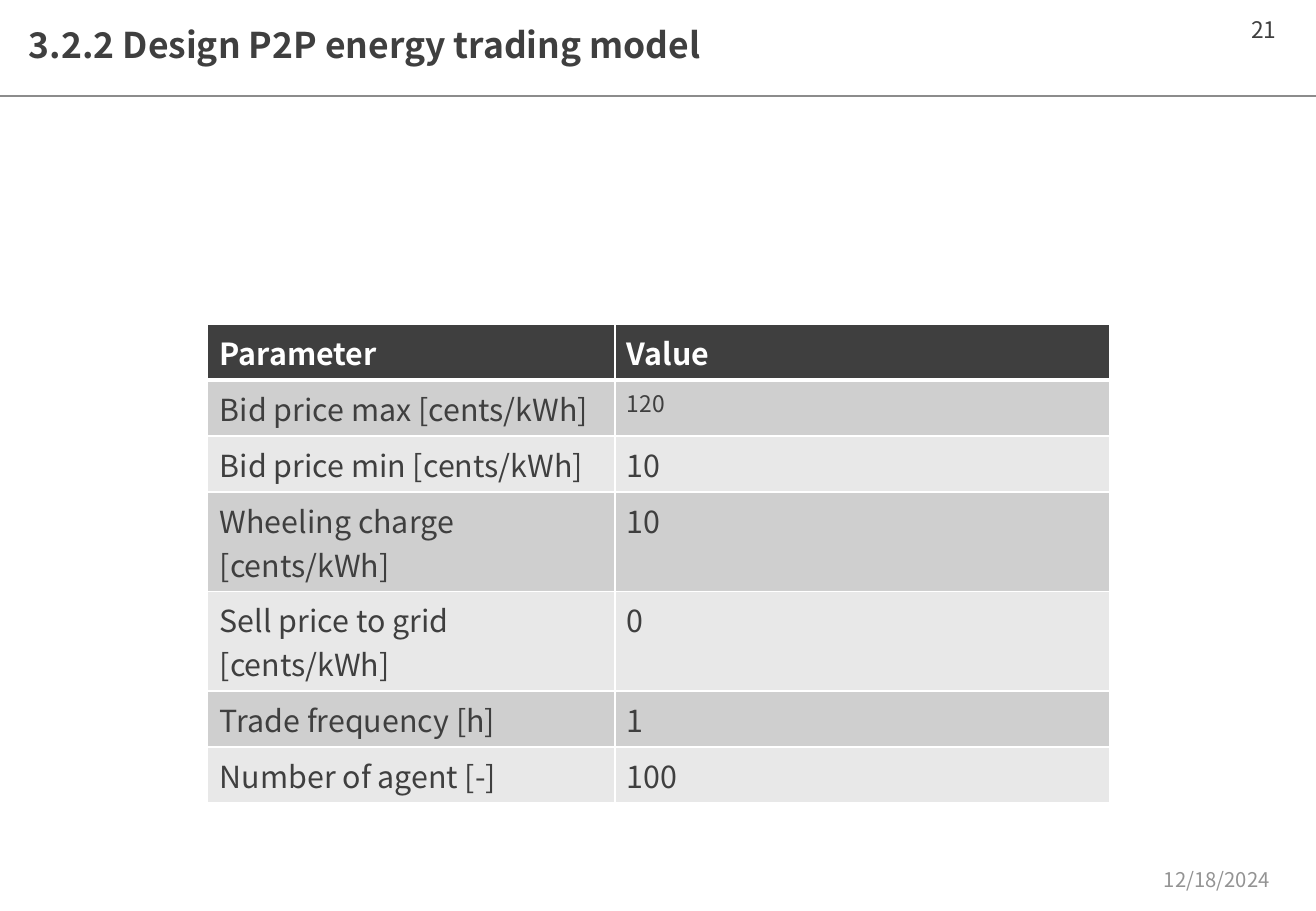
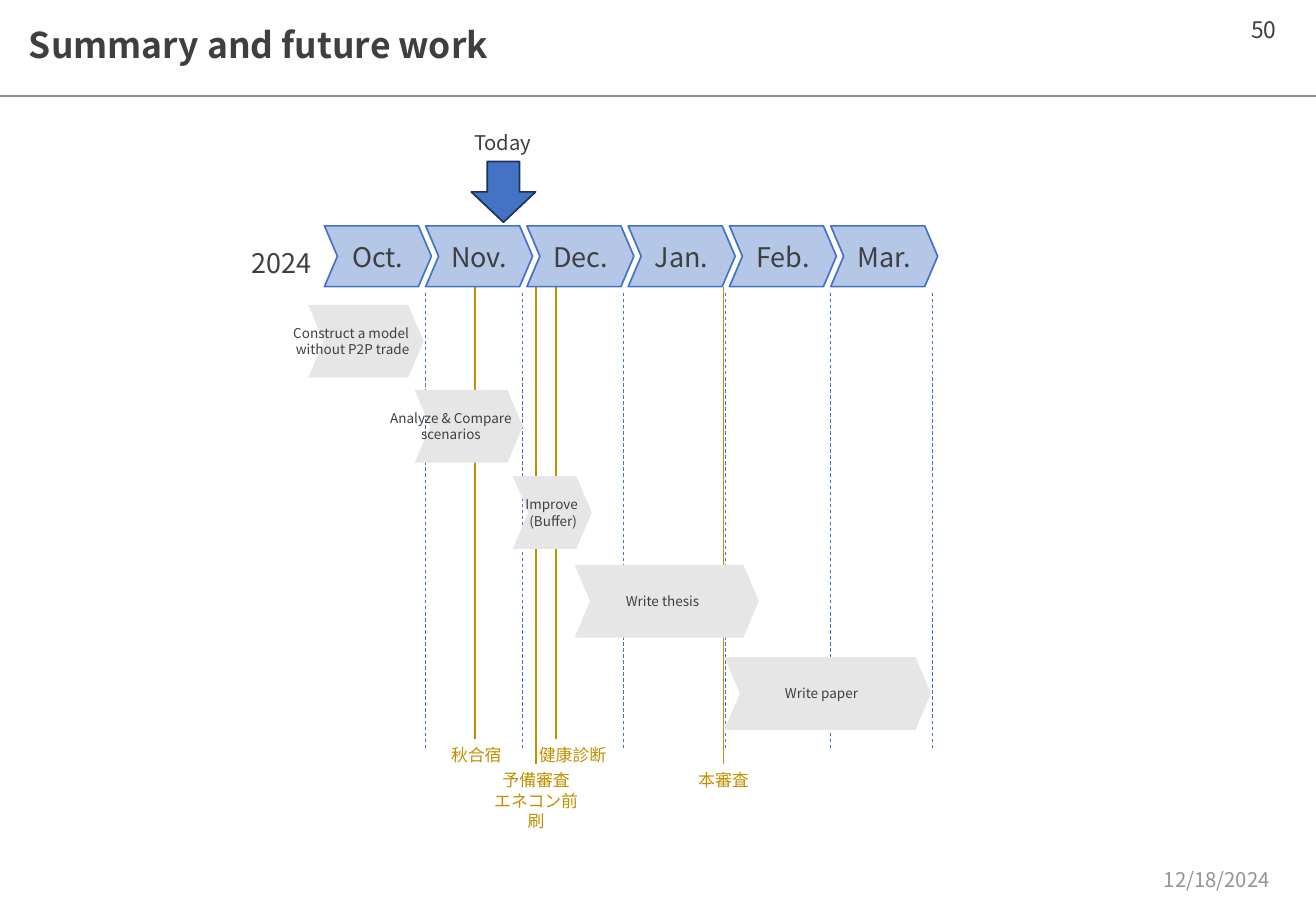
from dataclasses import dataclass

import lxml.etree
import pptx
import pptx.dml.color
import pptx.enum.dml
import pptx.enum.shapes
import pptx.enum.text
import pptx.oxml.ns
import pptx.util

Inches = pptx.util.Inches
Shape = pptx.enum.shapes.MSO_SHAPE
Align = pptx.enum.text.PP_ALIGN
Anchor = pptx.enum.text.MSO_ANCHOR
qn = pptx.oxml.ns.qn


@dataclass(frozen=True)
class Theme:
    font: str = "Noto Sans CJK JP"
    ink: str = "3F3F3F"
    white: str = "FFFFFF"
    muted: str = "939393"
    rule: str = "8C8C8C"
    bands: tuple = ("CFCFCF", "E8E8E8")
    blue: str = "4472C4"
    pale_blue: str = "B4C7E7"
    navy: str = "1E3256"
    gold: str = "BF9000"
    task: str = "E7E6E6"
    title_size: float = 21
    table_size: float = 18
    month_size: float = 16
    number_size: float = 13.5
    note_size: float = 12
    milestone_size: float = 10
    task_size: float = 8
    chevron_notch: float = 0.213


THEME = Theme()
WIDTH, HEIGHT = 10.83, 7.5
DATE = "12/18/2024"

# Name, value and lines of text in the row
PARAMETERS = [
    ("Parameter", "Value", 1),
    ("Bid price max [cents/kWh]", "120", 1),
    ("Bid price min [cents/kWh]", "10", 1),
    ("Wheeling charge [cents/kWh]", "10", 2),
    ("Sell price to grid [cents/kWh]", "0", 2),
    ("Trade frequency [h]", "1", 1),
    ("Number of agent [-]", "100", 1),
]
MONTHS = ["Oct.", "Nov.", "Dec.", "Jan.", "Feb.", "Mar."]
MONTH_ENDS = [1, 1.96, 2.95, 3.96, 5, 6]
# Text, start, length and label centre in months, top in inches below the months' top
TASKS = [
    ("Construct a model \nwithout P2P trade", -0.16, 1.14, 0.28, 0.65),
    ("Analyze & Compare\nscenarios", 0.89, 1.07, 1.25, 1.35),
    ("Improve \n(Buffer)", 1.86, 0.78, 2.26, 2.06),
    ("Write thesis", 2.47, 1.82, 3.34, 2.79),
    ("Write paper", 3.95, 2.04, 4.91, 3.55),
]
# Text, line and label centre in months, label row
MILESTONES = [
    ("秋合宿", 1.49, 1.5, 0),
    ("予備審査\nエネコン前刷", 2.09, 2.09, 1),
    ("健康診断", 2.29, 2.45, 0),
    ("本審査", 3.94, 3.94, 1),
]


def rgb(value):
    return pptx.dml.color.RGBColor.from_string(value)


def write(frame, text, size, color=THEME.ink, bold=False, align=Align.LEFT, spacing=None):
    paragraph = frame.paragraphs[0]
    paragraph.text = text
    paragraph.alignment = align
    if spacing:
        paragraph.line_spacing = spacing
    font = paragraph.font
    font.name, font.size, font.bold = THEME.font, pptx.util.Pt(size), bold
    font.color.rgb = rgb(color)
    properties = paragraph._p.pPr.find(qn("a:defRPr"))
    lxml.etree.SubElement(properties, qn("a:ea"), typeface=THEME.font)


def add_text(slide, box, text, size, anchor=Anchor.TOP, **style):
    frame = slide.shapes.add_textbox(*map(Inches, box)).text_frame
    frame.word_wrap = True
    frame.vertical_anchor = anchor
    write(frame, text, size, **style)


def add_line(slide, start, end, color, weight, dashed=False):
    connector = slide.shapes.add_connector(
        pptx.enum.shapes.MSO_CONNECTOR.STRAIGHT, *map(Inches, (*start, *end)))
    connector.line.color.rgb = rgb(color)
    connector.line.width = pptx.util.Pt(weight)
    if dashed:
        connector.line.dash_style = pptx.enum.dml.MSO_LINE.DASH
    lxml.etree.SubElement(connector._element.spPr, qn("a:effectLst"))


def add_shape(slide, kind, box, fill, outline=None):
    shape = slide.shapes.add_shape(kind, *map(Inches, box))
    shape.shadow.inherit = False
    shape.fill.solid()
    shape.fill.fore_color.rgb = rgb(fill)
    if outline:
        shape.line.color.rgb = rgb(outline)
        shape.line.width = pptx.util.Pt(1)
    else:
        shape.line.fill.background()
    if kind == Shape.CHEVRON:
        shape.adjustments[0] = THEME.chevron_notch
    return shape


def add_page(presentation, title, number):
    """Blank slide with title, rule, page number and date."""
    slide = presentation.slides.add_slide(presentation.slide_layouts[6])
    add_text(slide, (0.14, 0.1, 9.86, 0.57), title, THEME.title_size,
             anchor=Anchor.MIDDLE, spacing=0.9, bold=True)
    add_text(slide, (10.2, 0.08, 0.56, 0.4), str(number), THEME.number_size)
    add_text(slide, (9.48, 7.04, 1.29, 0.4), DATE, THEME.note_size,
             anchor=Anchor.MIDDLE, color=THEME.muted)
    add_line(slide, (0, 0.79), (WIDTH, 0.79), THEME.rule, 1.5)
    return slide


def style_cell(cell, fill, bottom):
    """White borders first, then the fill, as the schema orders them."""
    properties = cell._tc.get_or_add_tcPr()
    for side, weight in (("L", 1), ("R", 1), ("T", 1), ("B", bottom)):
        border = lxml.etree.SubElement(
            properties, qn(f"a:ln{side}"), w=str(pptx.util.Pt(weight)))
        solid = lxml.etree.SubElement(border, qn("a:solidFill"))
        lxml.etree.SubElement(solid, qn("a:srgbClr"), val=THEME.white)
    cell.fill.solid()
    cell.fill.fore_color.rgb = rgb(fill)


def add_parameter_table(slide, box, rows):
    left, top, width, line_height = box
    padding = 0.1
    heights = [padding + lines * line_height for *_, lines in rows]
    table = slide.shapes.add_table(
        len(rows), 2, *map(Inches, (left, top, width, sum(heights)))).table
    first = 3.35
    for column, column_width in zip(table.columns, (first, width - first)):
        column.width = Inches(column_width)
    for r, (*texts, _) in enumerate(rows):
        header = r == 0
        table.rows[r].height = Inches(heights[r])
        for c, text in enumerate(texts):
            cell = table.cell(r, c)
            style_cell(cell, THEME.ink if header else THEME.bands[(r - 1) % 2],
                       3 if header else 1)
            size = THEME.number_size if (r, c) == (1, 1) else THEME.table_size
            write(cell.text_frame, text, size, bold=header,
                  color=THEME.white if header else THEME.ink)


def add_timeline(slide, box):
    left, top, width, height = box
    month = width / len(MONTHS)
    bar, task_height = 0.5, 0.6
    label_rows = (top + height, top + height + 0.21)

    def at(months):
        return left + months * month

    # Milestone and month-end lines
    for _, position, _, row in MILESTONES:
        add_line(slide, (at(position), top + bar), (at(position), label_rows[row]),
                 THEME.gold, 1)
    for end in MONTH_ENDS:
        add_line(slide, (at(end), top + 0.55), (at(end), top + height + 0.09),
                 THEME.blue, 0.5, dashed=True)

    # Months
    add_text(slide, (left - 0.7, top + 0.12, 1.12, 0.37), "2024", THEME.month_size)
    for index, name in enumerate(MONTHS):
        chevron = add_shape(slide, Shape.CHEVRON, (at(index), top, 0.88, bar),
                            THEME.pale_blue, THEME.blue)
        frame = chevron.text_frame
        frame.word_wrap = False
        frame.vertical_anchor = Anchor.MIDDLE
        write(frame, name, THEME.month_size, align=Align.CENTER)

    # Tasks
    label_width = 1.23
    for text, start, length, centre, offset in TASKS:
        add_shape(slide, Shape.CHEVRON,
                  (at(start), top + offset, length * month, task_height), THEME.task)
        add_text(slide, (at(centre) - label_width / 2, top + offset, label_width, task_height),
                 text, THEME.task_size, anchor=Anchor.MIDDLE, align=Align.CENTER)

    # Milestone names
    name_width = 0.92
    for text, _, centre, row in MILESTONES:
        add_text(slide, (at(centre) - name_width / 2, label_rows[row], name_width, 0.27),
                 text, THEME.milestone_size, color=THEME.gold, align=Align.CENTER)

    # Today marker
    add_shape(slide, Shape.DOWN_ARROW, (at(1.45), top - 0.53, 0.53, 0.5),
              THEME.blue, THEME.navy)
    add_text(slide, (at(1.36), top - 0.84, 0.69, 0.3), "Today", THEME.note_size)


def main():
    presentation = pptx.Presentation()
    presentation.slide_width, presentation.slide_height = Inches(WIDTH), Inches(HEIGHT)

    slide = add_page(presentation, "3.2.2 Design P2P energy trading model", 21)
    add_parameter_table(slide, (1.71, 2.67, 7.42, 0.36), PARAMETERS)

    slide = add_page(presentation, "Summary and future work", 50)
    add_timeline(slide, (2.67, 1.86, 5, 4.22))

    presentation.save("out.pptx")


if __name__ == "__main__":
    main()
